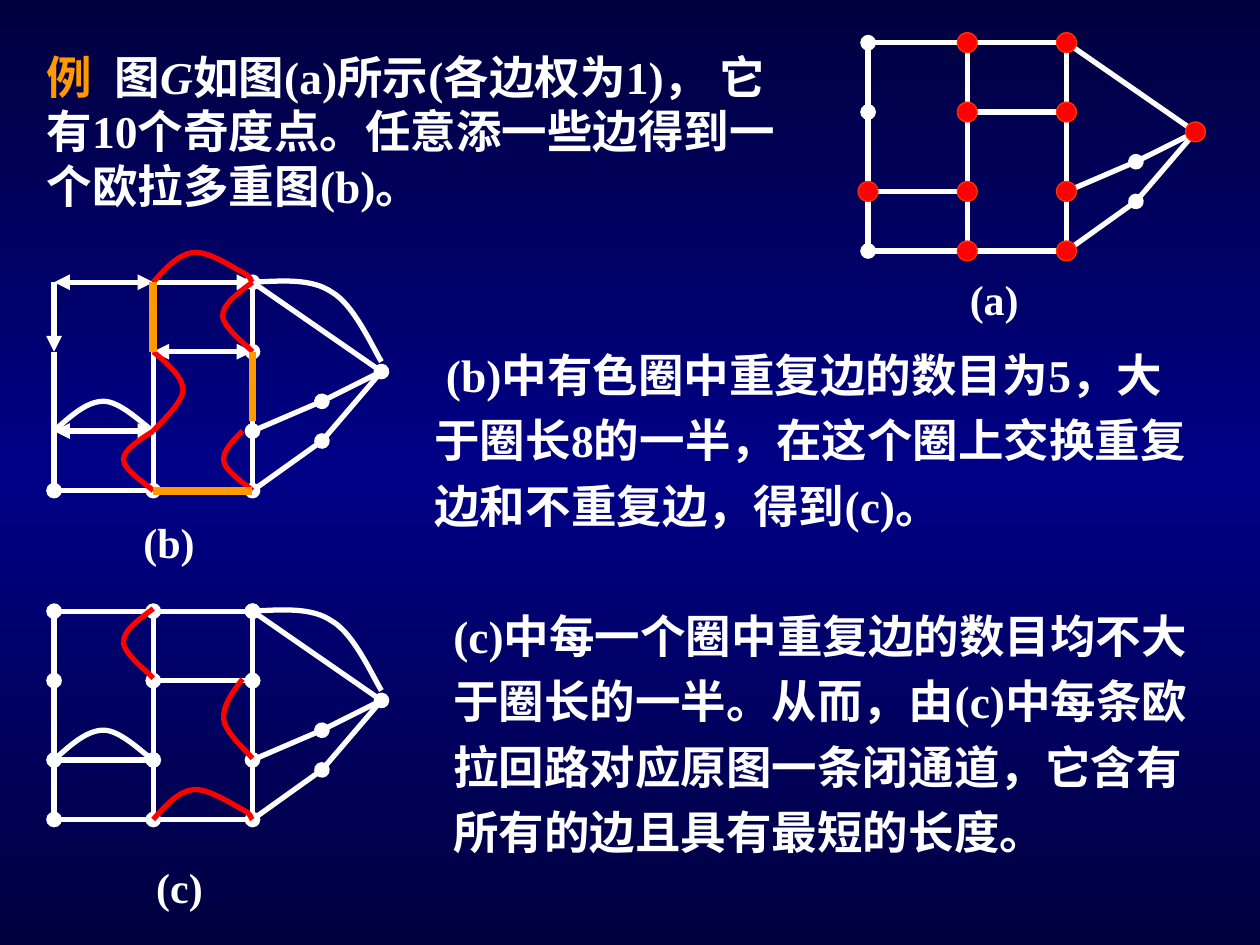
from copy import deepcopy

from lxml.etree import SubElement
from pptx import Presentation
from pptx.dml.color import RGBColor
from pptx.enum.shapes import MSO_CONNECTOR as CONN, MSO_SHAPE as SHAPE
from pptx.oxml.ns import qn
from pptx.util import Cm, Pt

FONT = "Times New Roman"
WHITE, RED, ORANGE = "FFFFFF", "FF0000", "FF9900"

# Graph geometry in cm, relative to its top-left vertex
X0, X1, X2 = 0, 2, 4
Y0, Y1, Y2, Y3 = 0, 1.4, 3, 4.2
TIP, UPPER, LOWER = (6.6, 1.8), (5.4, 2.4), (5.4, 3.2)

# Edges: start, end, ends that carry a marker (h head, t tail)
MARKED_EDGES = [
    ((X0, Y0), (X1, Y0), "ht"),
    ((X1, Y0), (X2, Y0), "t"),
    ((X1, Y1), (X2, Y1), "ht"),
    ((X0, Y2), (X1, Y2), "ht"),
    ((X0, Y0), (X0, Y1), "t"),
]
OTHER_EDGES = [
    ((X1, Y0), (X1, Y1), ""),
    ((X0, Y1), (X0, Y2), ""),
    ((X1, Y1), (X1, Y2), ""),
    ((X0, Y2), (X0, Y3), ""),
    ((X1, Y2), (X1, Y3), ""),
    ((X0, Y3), (X1, Y3), "ht"),
    ((X2, Y0), (X2, Y1), ""),
    ((X2, Y1), (X2, Y2), "h"),
    ((X1, Y3), (X2, Y3), ""),
    ((X2, Y2), (X2, Y3), "ht"),
    ((X2, Y0), TIP, "ht"),
    ((X2, Y2), UPPER, "t"),
    (UPPER, TIP, ""),
    ((X2, Y3), LOWER, "t"),
    (LOWER, TIP, ""),
]
ODD_VERTICES = [(X1, Y0), (X2, Y0), (X2, Y1), (X1, Y1), (X1, Y3),
                (X0, Y2), (X1, Y2), TIP, (X2, Y2), (X2, Y3)]

# Bezier points relative to the start vertex; BOW and HOOK have unit height
OUTER = [(0, 0), (0.6, -0.03), (1.2, -0.08), (1.6, 0.2),
         (2.05, 0.45), (2.45, 1.37), (2.6, 1.6)]
ARCH = [(0, 0), (0.25, -0.28), (0.5, -0.56), (0.8, -0.6), (1.1, -0.64),
        (1.6, -0.3), (1.8, -0.2), (2, -0.1), (1.95, -0.03), (2, 0)]
HUMP = [(0, 0), (0.33, -0.3), (0.66, -0.6), (1, -0.6),
        (1.35, -0.6), (1.83, -0.1), (2, 0)]
BOW = [(0, 0), (-0.3, 0.16), (-0.6, 0.32), (-0.6, 0.48),
       (-0.6, 0.65), (-0.1, 0.92), (0, 1)]
HOOK = [(-0.2, 0), (-0.41, 0.17), (-0.6, 0.34), (-0.58, 0.5),
        (-0.56, 0.67), (-0.1, 0.92), (0, 1)]


def rgb(code):
    return RGBColor.from_string(code)


def set_background(slide):
    fill = slide.background.fill
    fill.gradient()
    fill.gradient_angle = 90
    stops = next(slide.element.iter(qn("a:gsLst")))
    stops.insert(1, deepcopy(stops[0]))
    for stop, pos, color in zip(fill.gradient_stops, (0, 0.5, 1),
                                ("00003E", "000086", "00003E")):
        stop.position = pos
        stop.color.rgb = rgb(color)


def add_text(shapes, x, y, w, h, runs, size=26, spacing=None):
    """Add one paragraph of (text, colour, italic) runs."""
    tf = shapes.add_textbox(Cm(x), Cm(y), Cm(w), Cm(h)).text_frame
    tf.word_wrap = True
    p = tf.paragraphs[0]
    if spacing:
        p.line_spacing = spacing
    for text, color, italic in runs:
        r = p.add_run()
        r.text = text
        r.font.color.rgb = rgb(color)
        if italic:
            r.font.italic = True
    return p, size


def style_text(p, size):
    p.font.name = FONT
    p.font.size = Pt(size)
    p.font.bold = True


def add_edge(shapes, origin, start, end, ends="", marker="oval",
             color=WHITE, width=3):
    ox, oy = origin
    c = shapes.add_connector(CONN.STRAIGHT,
                             Cm(ox + start[0]), Cm(oy + start[1]),
                             Cm(ox + end[0]), Cm(oy + end[1]))
    c.line.color.rgb = rgb(color)
    c.line.width = Pt(width)
    sp_pr = c.element.spPr
    ln = sp_pr.find(qn("a:ln"))
    for key, tag in (("h", "a:headEnd"), ("t", "a:tailEnd")):
        if key in ends:
            SubElement(ln, qn(tag), type=marker)
    SubElement(sp_pr, qn("a:effectLst"))


def add_curve(shapes, origin, start, points, color=RED, sx=1, sy=1):
    ox, oy = origin[0] + start[0], origin[1] + start[1]
    pts = [(Cm(ox + x * sx), Cm(oy + y * sy)) for x, y in points]
    builder = shapes.build_freeform(*pts[0])
    builder.add_line_segments(pts[1:], close=False)
    sp = builder.convert_to_shape()
    sp.shadow.inherit = False
    sp.fill.background()
    sp.line.color.rgb = rgb(color)
    sp.line.width = Pt(3)
    # Merge every three segments into one Bezier segment
    segments = list(sp.element.iter(qn("a:lnTo")))
    outline = segments[0].getparent()
    for i in range(0, len(segments), 3):
        bezier = SubElement(outline, qn("a:cubicBezTo"))
        for segment in segments[i:i + 3]:
            bezier.append(segment[0])
            outline.remove(segment)


def add_dot(shapes, origin, vertex, d=0.4):
    sp = shapes.add_shape(SHAPE.OVAL, Cm(origin[0] + vertex[0] - d / 2),
                          Cm(origin[1] + vertex[1] - d / 2), Cm(d), Cm(d))
    sp.shadow.inherit = False
    sp.fill.solid()
    sp.fill.fore_color.rgb = rgb(RED)
    sp.line.color.rgb = rgb("FF3300")
    sp.line.width = Pt(0.75)


def add_graph(slide, origin, label, label_box, marker="oval", curves=(),
              bars=(), dots=()):
    shapes = slide.shapes.add_group_shape().shapes
    for start, end, ends in MARKED_EDGES:
        add_edge(shapes, origin, start, end, ends, marker)
    for start, end, ends in OTHER_EDGES:
        add_edge(shapes, origin, start, end, ends)
    for curve in curves:
        add_curve(shapes, origin, *curve)
    for start, end in bars:
        add_edge(shapes, origin, start, end, color=ORANGE, width=4.5)
    style_text(*add_text(shapes, *label_box, 1.27, [(label, WHITE, False)], 24))
    for vertex in dots:
        add_dot(shapes, origin, vertex)


def main():
    prs = Presentation()
    prs.slide_width, prs.slide_height = Cm(25.4), Cm(19.05)
    slide = prs.slides.add_slide(prs.slide_layouts[6])
    set_background(slide)

    # Problem statement, with a tab after the lead word
    p, size = add_text(slide.shapes, 0.69, 0.86, 15.8, 3.56, [
        ("例\t", ORANGE, False), ("图", WHITE, False), ("G", WHITE, True),
        ("如图(a)所示(各边权为1)， 它有10个奇度点。任意添一些边得到"
         "一个欧拉多重图(b)。", WHITE, False)])
    tabs = SubElement(p._p.get_or_add_pPr(), qn("a:tabLst"))
    SubElement(tabs, qn("a:tab"), pos=str(Cm(1.37)), algn="l")
    style_text(p, size)

    # Graph (b): doubled edges and the coloured circuit
    shared = [((X2, Y0), OUTER, WHITE), ((X0, Y2), HUMP, WHITE)]
    add_graph(slide, (1.09, 5.69), "(b)", (2.64, 10.29, 2.26), "triangle",
              curves=shared + [
                  ((X1, Y0), ARCH),
                  ((X2, Y0), BOW, RED, 1, 1.4),
                  ((X2, Y2), HOOK, RED, 1, 1.2),
                  ((X1, Y1), BOW, RED, -1, 1.6),
                  ((X1, Y2), BOW, RED, 1, 1.2)],
              bars=[((X1, Y0), (X1, Y1)), ((X1, Y3), (X2, Y3)),
                    ((X2, Y1), (X2, 2.8))])

    # Comments on (b) and (c)
    p, size = add_text(slide.shapes, 8.51, 6.65, 15.8, 4.22, [
        ("(b)中有色圈中重复边的数目为5，大于圈长8的一半，在这个圈上交换"
         "重复边和不重复边，得到(c)。", WHITE, False)], spacing=1.2)
    p._p.get_or_add_pPr().set("indent", str(Cm(0.23)))
    style_text(p, size)
    style_text(*add_text(slide.shapes, 8.89, 11.91, 15.6, 5.54, [
        ("(c)中每一个圈中重复边的数目均不大于圈长的一半。从而，由(c)中每条"
         "欧拉回路对应原图一条闭通道，它含有所有的边且具有最短的长度。",
         WHITE, False)], spacing=1.2))

    # Graph (c): doubled edges after the exchange
    add_graph(slide, (1.09, 12.32), "(c)", (2.9, 17.25, 3.25),
              curves=shared + [
                  ((X1, Y3), ARCH),
                  ((X1, -0.05), BOW, RED, 1, 1.4),
                  ((X2, 1.37), HOOK, RED, 1, 1.6)])

    # Graph (a): odd vertices in red
    add_graph(slide, (17.5, 0.86), "(a)", (19.3, 5.38, 1.8),
              dots=ODD_VERTICES)
    prs.save("out.pptx")


if __name__ == "__main__":
    main()
